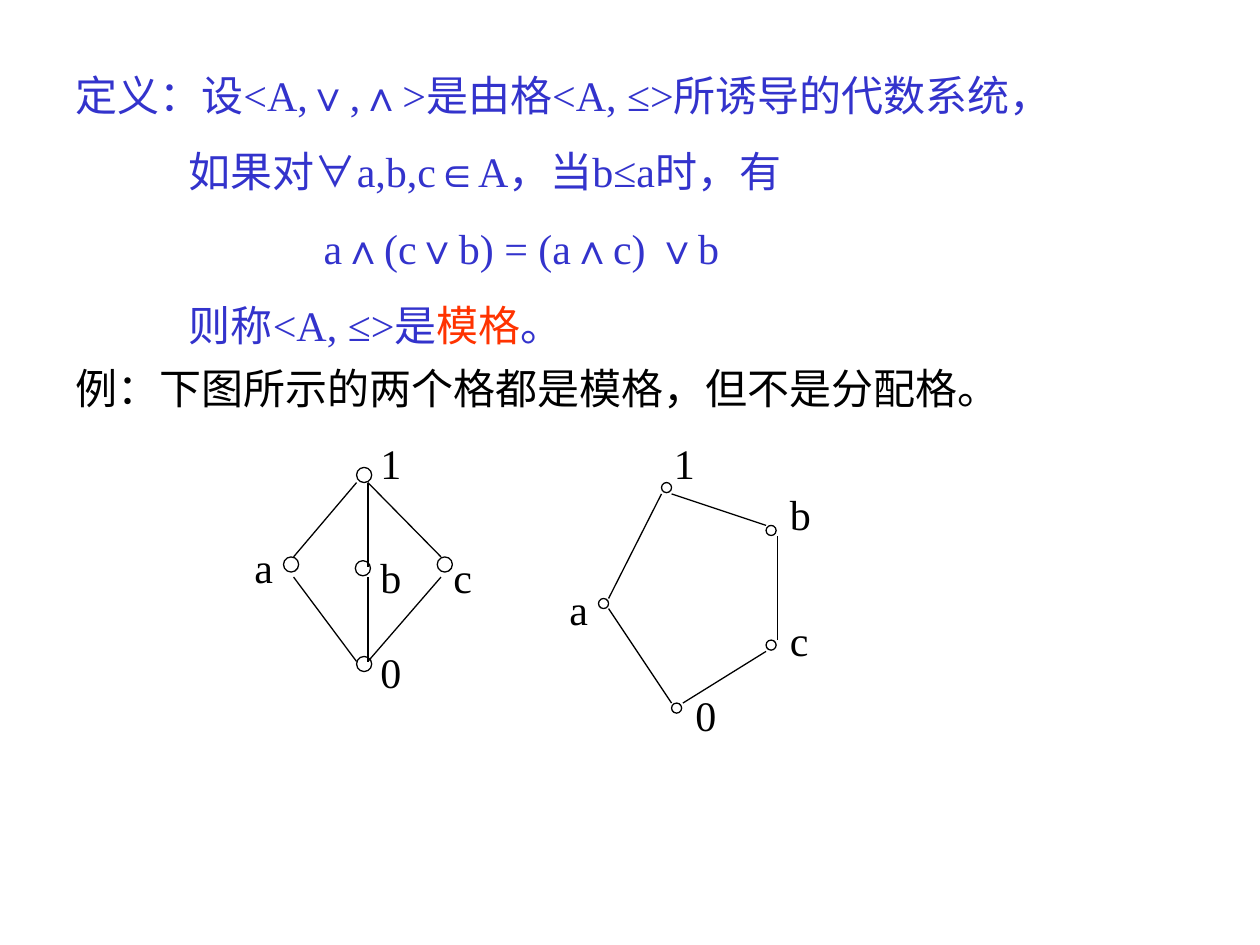
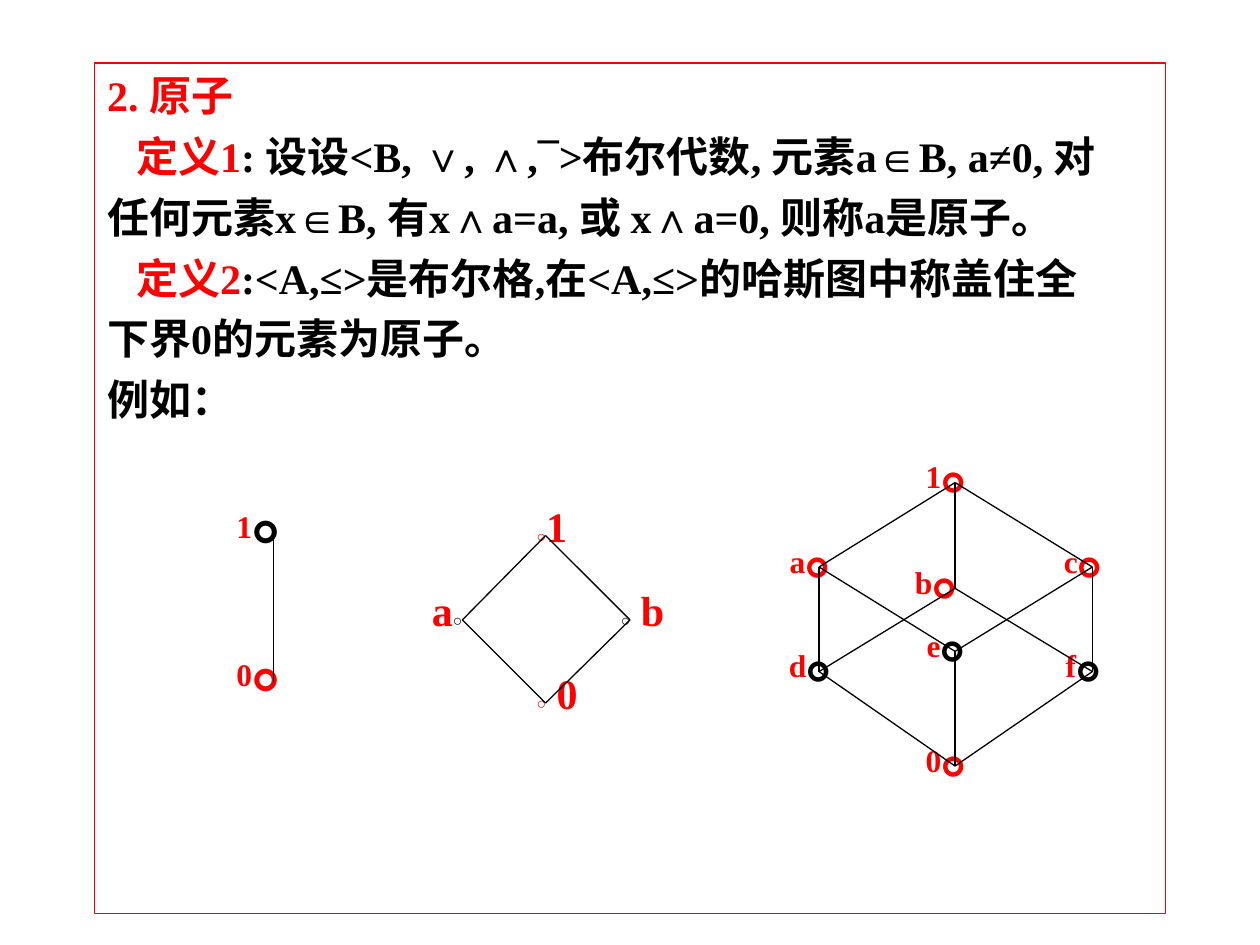
from dataclasses import dataclass
from typing import NamedTuple

from pptx import Presentation
from pptx.dml.color import RGBColor
from pptx.enum.shapes import MSO_CONNECTOR, MSO_SHAPE
from pptx.enum.text import MSO_ANCHOR, MSO_AUTO_SIZE, PP_ALIGN
from pptx.oxml.ns import qn
from pptx.util import Inches, Pt

BLACK = RGBColor(0x00, 0x00, 0x00)
RED = RGBColor(0xFF, 0x00, 0x00)
BLUE = RGBColor(0x33, 0x33, 0xCC)
ORANGE = RGBColor(0xFF, 0x33, 0x00)
SERIF = "Times New Roman"
SANS = "Arial"
LINE_WIDTH = Pt(0.75)


class Run(NamedTuple):
    text: str
    color: RGBColor = BLACK
    size: float = 24
    font: str = SERIF
    bold: bool = False


class Line(NamedTuple):
    runs: list[Run]
    margin: float = 0
    indent: float = 0


class Edge(NamedTuple):
    x1: float
    y1: float
    x2: float
    y2: float


class Node(NamedTuple):
    """A circle by its left top corner, and the corner of its label."""
    name: str
    x: float
    y: float
    label_x: float
    label_y: float


@dataclass
class Vertex:
    """A point of a Hasse diagram whose label holds its own circle."""
    name: str
    x: float
    y: float
    mark_color: RGBColor = RED
    shift: float = 0


@dataclass
class Hasse:
    vertices: list[Vertex]
    edges: list[str]
    mark_size: float
    label_offset: tuple[float, float]
    label_size: tuple[float, float]


# Shared drawing functions
def add_run(paragraph, text: str, *, color: RGBColor, size: float, font: str, bold: bool) -> None:
    run = paragraph.add_run()
    run.text = text
    run.font.name = font
    run.font.size = Pt(size)
    run.font.bold = bold
    run.font.color.rgb = color


def fill_lines(frame, lines: list[Line], space_before: float) -> None:
    for index, line in enumerate(lines):
        paragraph = frame.add_paragraph() if index else frame.paragraphs[0]
        properties = paragraph._p.get_or_add_pPr()
        properties.set("marL", str(Inches(line.margin)))
        properties.set("indent", str(Inches(line.indent)))
        properties.get_or_add_buNone() if hasattr(properties, "get_or_add_buNone") else \
            properties.append(properties.makeelement(qn("a:buNone"), {}))
        paragraph.space_before = Pt(space_before if index else 0)
        for run in line.runs:
            add_run(paragraph, **run._asdict())


def add_text(slide, x: float, y: float, width: float, height: float,
             lines: list[Line], centered: bool = False) -> None:
    box = slide.shapes.add_textbox(Inches(x), Inches(y), Inches(width), Inches(height))
    frame = box.text_frame
    frame.word_wrap = True
    frame.auto_size = MSO_AUTO_SIZE.SHAPE_TO_FIT_TEXT
    fill_lines(frame, lines, space_before=15)
    if centered:
        frame.vertical_anchor = MSO_ANCHOR.MIDDLE
        frame.paragraphs[0].alignment = PP_ALIGN.CENTER


def add_edge(slide, edge: Edge) -> None:
    connector = slide.shapes.add_connector(MSO_CONNECTOR.STRAIGHT, *map(Inches, edge))
    connector.line.color.rgb = BLACK
    connector.line.width = LINE_WIDTH
    properties = connector._element.spPr
    properties.append(properties.makeelement(qn("a:effectLst"), {}))


def add_circle(slide, node: Node, diameter: float) -> None:
    circle = slide.shapes.add_shape(MSO_SHAPE.FLOWCHART_CONNECTOR, Inches(node.x),
                                    Inches(node.y), Inches(diameter), Inches(diameter))
    circle.shadow.inherit = False
    circle.fill.background()
    circle.line.color.rgb = BLACK
    circle.line.width = LINE_WIDTH


def draw_graph(slide, nodes: list[Node], edges: list[Edge], diameter: float) -> None:
    for node in nodes:
        add_circle(slide, node, diameter)
        add_text(slide, node.label_x, node.label_y, 0.75, 0.5, [Line([Run(node.name)])])
    for edge in edges:
        add_edge(slide, edge)


def label_runs(vertex: Vertex, mark_size: float) -> list[Run]:
    if mark_size > 9:
        return [Run(vertex.name, RED, 18, bold=True),
                Run("。", vertex.mark_color, mark_size, bold=True)]
    name = Run(vertex.name, RED, bold=True)
    mark = Run("○", vertex.mark_color, mark_size, SANS, True)
    return [name, mark] if vertex.shift else [mark, name]


def draw_hasse(slide, hasse: Hasse) -> None:
    offset_x, offset_y = hasse.label_offset
    points = {}
    for vertex in hasse.vertices:
        points[vertex.name.strip()] = (vertex.x, vertex.y)
        add_text(slide, vertex.x + offset_x + vertex.shift, vertex.y + offset_y,
                 *hasse.label_size, [Line(label_runs(vertex, hasse.mark_size))],
                 centered=hasse.mark_size > 9)
    for start, end in hasse.edges:
        add_edge(slide, Edge(*points[start], *points[end]))


# Slide 1: modular lattices
MODULAR_LINES = [
    Line([Run("定义：设<A,∨,∧>是由格<A, ≤>所诱导的代数系统，", BLUE)]),
    Line([Run("如果对", BLUE), Run("∀", BLUE, font=SANS), Run("a,b,c", BLUE),
          Run("∈", BLUE, font=SANS), Run("A，当b≤a时，有", BLUE)], margin=0.9),
    Line([Run("a∧(c∨b) = (a∧c) ∨b", BLUE)], margin=1.97),
    Line([Run("则称<A, ≤>是", BLUE), Run("模格", ORANGE), Run("。", BLUE)], margin=0.9),
]
DIAMOND_NODES = [
    Node("1", 2.83, 3.71, 2.92, 3.42),
    Node("a", 2.25, 4.42, 1.92, 4.25),
    Node("b", 2.82, 4.45, 2.92, 4.33),
    Node("c", 3.47, 4.42, 3.5, 4.33),
    Node("0", 2.83, 5.21, 2.92, 5.08),
]
DIAMOND_EDGES = [
    Edge(2.92, 3.83, 2.92, 4.5), Edge(2.92, 4.58, 2.92, 5.25),
    Edge(2.33, 4.42, 2.83, 3.83), Edge(2.92, 3.83, 3.5, 4.42),
    Edge(2.33, 4.58, 2.83, 5.25), Edge(3.5, 4.58, 2.92, 5.25),
]
PENTAGON_NODES = [
    Node("1", 5.25, 3.83, 5.25, 3.42),
    Node("a", 4.75, 4.75, 4.42, 4.58),
    Node("b", 6.08, 4.17, 6.17, 3.83),
    Node("c", 6.08, 5.08, 6.17, 4.83),
    Node("0", 5.33, 5.58, 5.42, 5.42),
]
PENTAGON_EDGES = [
    Edge(4.83, 4.75, 5.25, 3.92), Edge(4.83, 4.83, 5.33, 5.58),
    Edge(5.42, 5.58, 6.08, 5.17), Edge(6.17, 5.08, 6.17, 4.25),
    Edge(5.33, 3.92, 6.08, 4.17),
]


def build_modular_slide(presentation) -> None:
    slide = presentation.slides.add_slide(presentation.slide_layouts[6])
    add_text(slide, 0.5, 0.5, 8.92, 2.33, MODULAR_LINES)
    add_text(slide, 0.5, 2.83, 9, 0.5, [Line([Run("例：下图所示的两个格都是模格，但不是分配格。")])])
    draw_graph(slide, DIAMOND_NODES, DIAMOND_EDGES, diameter=0.12)
    draw_graph(slide, PENTAGON_NODES, PENTAGON_EDGES, diameter=0.08)


# Slide 2: atoms
def atom_line(text: str, heading: str = "", indent: float = -0.38) -> Line:
    runs = [Run(heading, RED, bold=True)] if heading else []
    return Line(runs + ([Run(text, bold=True)] if text else []), 0.38, indent)


ATOM_LINES = [
    atom_line("", "2. 原子"),
    atom_line(": 设设<B, ∨, ∧,¯>布尔代数, 元素a∈B, a≠0, 对", "定义1", -0.15),
    atom_line("任何元素x∈B, 有x∧a=a, 或 x∧a=0, 则称a是原子。"),
    atom_line(":<A,≤>是布尔格,在<A,≤>的哈斯图中称盖住全", "定义2", -0.15),
    atom_line("下界0的元素为原子。"),
    atom_line("例如："),
]
LEFT, MIDDLE, RIGHT = 6.5, 7.58, 8.67
CUBE = Hasse(
    [Vertex("1", MIDDLE, 3.83), Vertex("a", LEFT, 4.5),
     Vertex("b", MIDDLE, 4.67, shift=-0.08), Vertex("c", RIGHT, 4.5),
     Vertex("d", LEFT, 5.33, BLACK), Vertex("e", MIDDLE, 5.17, BLACK),
     Vertex("f", RIGHT, 5.33, BLACK), Vertex("0", MIDDLE, 6.08)],
    ["1a", "1b", "1c", "ad", "ae", "bd", "bf", "ce", "cf", "d0", "e0", "f0"],
    mark_size=36, label_offset=(-0.42, -0.5), label_size=(1, 0.7))
CHAIN = Hasse(
    [Vertex("0", 2.17, 5.42), Vertex("1", 2.17, 4.25, BLACK)], ["10"],
    mark_size=40, label_offset=(-0.5, -0.58), label_size=(1.09, 0.77))
SQUARE = Hasse(
    [Vertex("1", 4.33, 4.25), Vertex("a", 3.67, 4.92, BLACK, shift=-0.17),
     Vertex(" b", 5, 4.92, BLACK), Vertex(" 0", 4.33, 5.58)],
    ["1a", "1b", "a0", "b0"],
    mark_size=9, label_offset=(-0.17, -0.33), label_size=(0.92, 0.5))


def build_atom_slide(presentation) -> None:
    slide = presentation.slides.add_slide(presentation.slide_layouts[1])
    title, body = slide.placeholders
    title._element.getparent().remove(title._element)
    body.left, body.top = Inches(0.75), Inches(0.5)
    body.width, body.height = Inches(8.5), Inches(6.75)
    body.line.color.rgb = RED
    body.line.width = LINE_WIDTH
    body.text_frame.auto_size = MSO_AUTO_SIZE.NONE
    body.text_frame.vertical_anchor = MSO_ANCHOR.TOP
    fill_lines(body.text_frame, ATOM_LINES, space_before=6)
    for hasse in (CUBE, CHAIN, SQUARE):
        draw_hasse(slide, hasse)


def main() -> None:
    presentation = Presentation()
    presentation.slide_width = Inches(10)
    presentation.slide_height = Inches(7.5)
    build_modular_slide(presentation)
    build_atom_slide(presentation)
    presentation.save("out.pptx")


if __name__ == "__main__":
    main()
